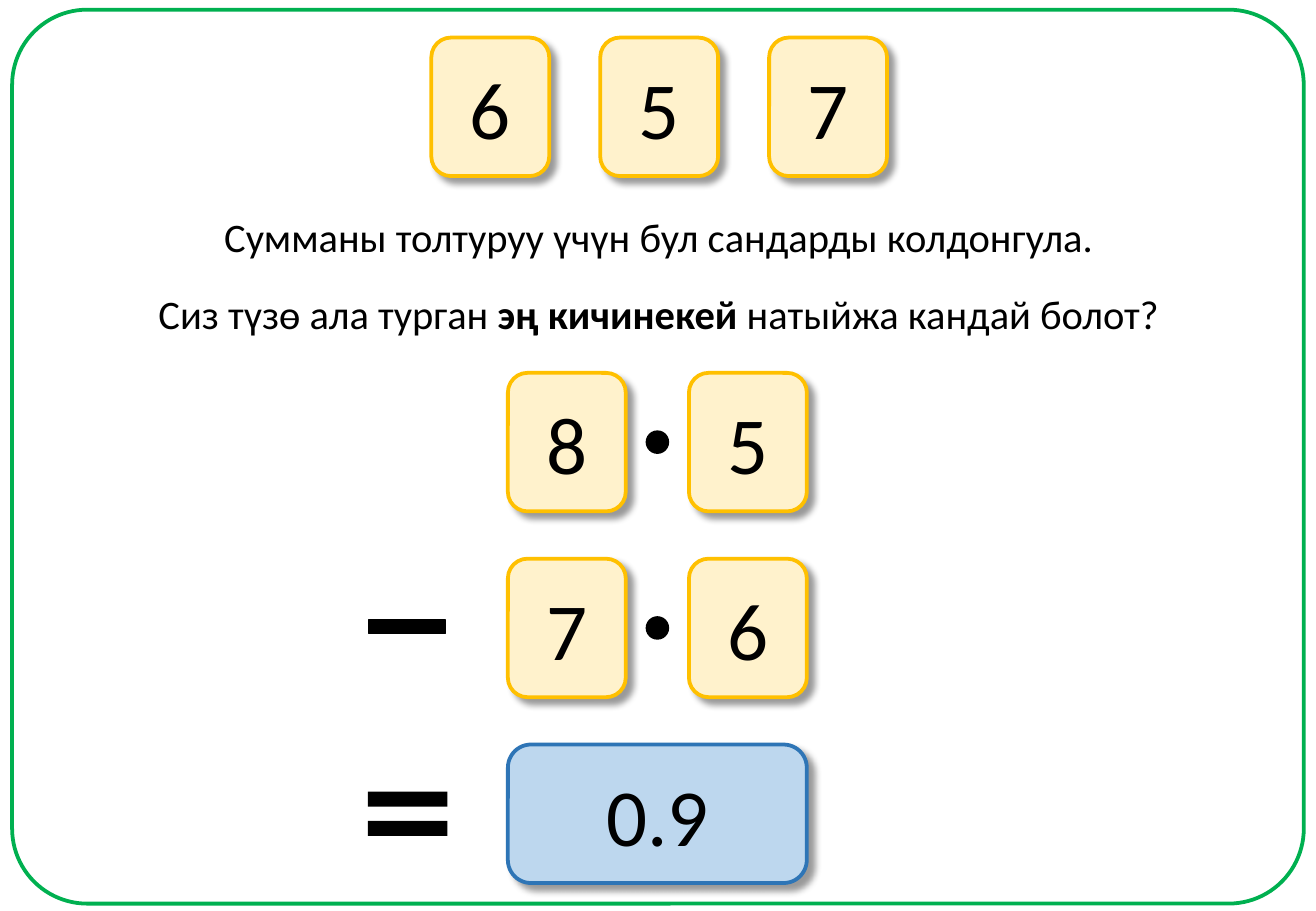
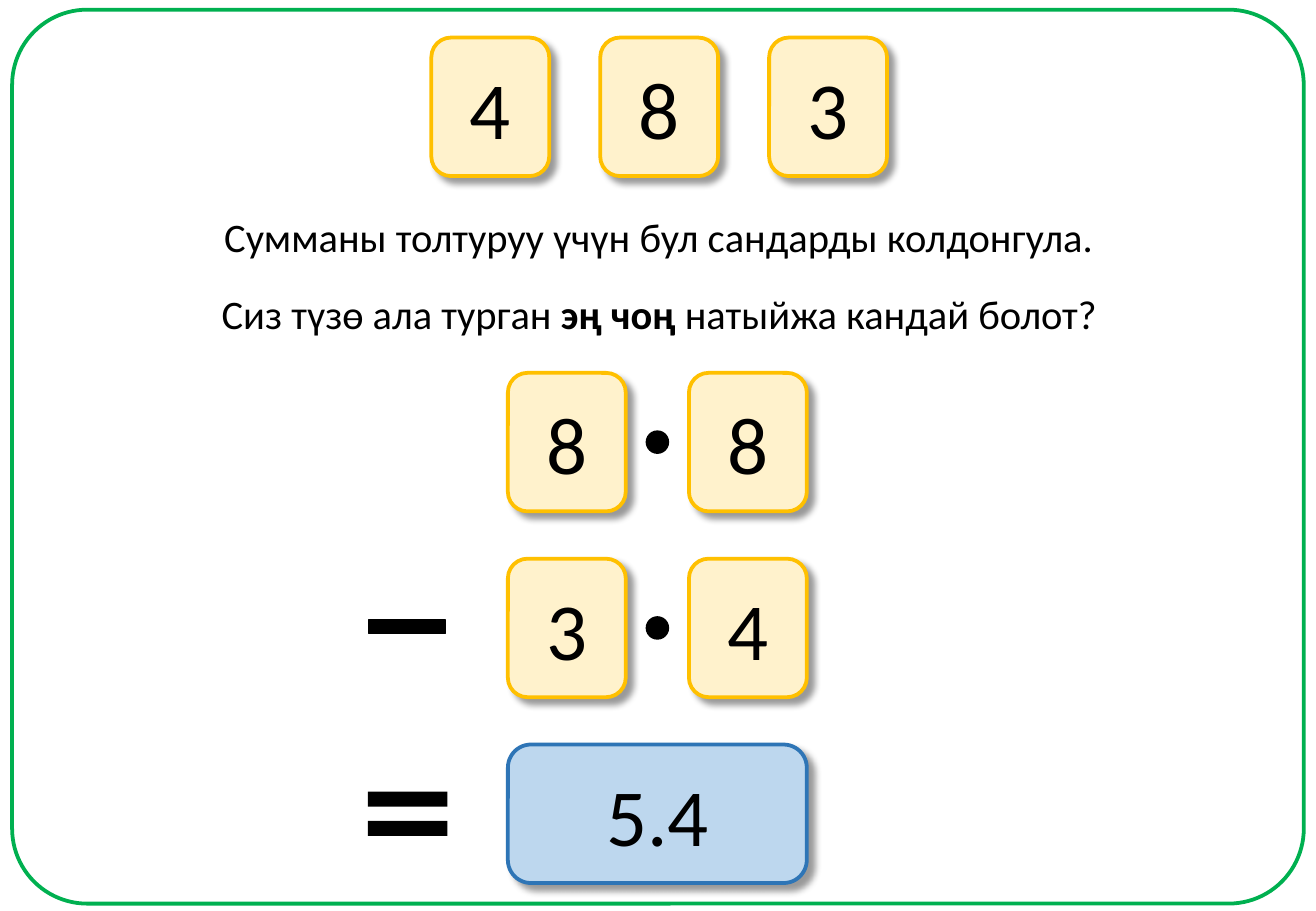
from lxml import etree
from pptx import Presentation
from pptx.dml.color import RGBColor
from pptx.enum.shapes import MSO_SHAPE
from pptx.enum.text import MSO_ANCHOR, MSO_AUTO_SIZE, PP_ALIGN
from pptx.oxml.ns import qn
from pptx.util import Pt

# Lengths are px, 100 to the inch
PX = 9144
SLIDE_WIDTH, SLIDE_HEIGHT = 1083, 750
CARD_WIDTH, CARD_HEIGHT = 97, 114
ROW_STEP = 153
FONT = "Calibri"

BLACK = RGBColor(0x00, 0x00, 0x00)
GREEN = RGBColor(0x00, 0xB0, 0x50)
CREAM = RGBColor(0xFF, 0xF2, 0xCC)
GOLD = RGBColor(0xFF, 0xC0, 0x00)
PALE_BLUE = RGBColor(0xBD, 0xD7, 0xEE)
BLUE = RGBColor(0x2E, 0x75, 0xB6)

ROUNDED = MSO_SHAPE.ROUNDED_RECTANGLE
OVAL = MSO_SHAPE.OVAL
MINUS = MSO_SHAPE.MATH_MINUS
EQUAL = MSO_SHAPE.MATH_EQUAL
CENTER = PP_ALIGN.CENTER
MIDDLE = MSO_ANCHOR.MIDDLE
FIT_SHAPE = MSO_AUTO_SIZE.SHAPE_TO_FIT_TEXT

INSTRUCTION = "Cумманы толтуруу үчүн бул сандарды колдонгула."
# Number cards, bold words, question width, factor rows, result
PUZZLES = [
    ("657", "эң кичинекей ", 846, ("85", "76"), "0.9"),
    ("483", "эң чоң ", 745, ("88", "34"), "5.4"),
]


def add_shape(slide, kind, box, fill=None, line=None, weight=1.0, adjustments=()):
    shape = slide.shapes.add_shape(kind, *(length * PX for length in box))
    shape.shadow.inherit = False
    for index, value in enumerate(adjustments):
        shape.adjustments[index] = value
    if fill is None:
        shape.fill.background()
    else:
        shape.fill.solid()
        shape.fill.fore_color.rgb = fill
    if line is None:
        shape.line.fill.background()
    else:
        shape.line.color.rgb = line
        shape.line.width = Pt(weight)
    return shape


def add_run(paragraph, text, size, bold=False):
    run = paragraph.add_run()
    run.text = text
    run.font.name = FONT
    run.font.size = Pt(size)
    run.font.bold = bold
    run.font.color.rgb = BLACK


def add_drop_shadow(shape):
    effects = shape._element.spPr.find(qn("a:effectLst"))
    shadow = etree.SubElement(
        effects, qn("a:outerShdw"), blurRad=str(Pt(4)), dist=str(Pt(5)),
        dir="2700000", algn="tl", rotWithShape="0")
    color = etree.SubElement(shadow, qn("a:srgbClr"), val=str(BLACK))
    etree.SubElement(color, qn("a:alpha"), val="40000")


def add_card(slide, left, top, text, width=CARD_WIDTH, fill=CREAM, line=GOLD):
    card = add_shape(slide, ROUNDED, (left, top, width, CARD_HEIGHT), fill, line, 2.25)
    add_drop_shadow(card)
    card.text_frame.vertical_anchor = MIDDLE
    paragraph = card.text_frame.paragraphs[0]
    paragraph.alignment = CENTER
    add_run(paragraph, text, 48)


def add_centered_line(slide, top, width, runs):
    left = (SLIDE_WIDTH + 2 - width) // 2
    box = slide.shapes.add_textbox(left * PX, top * PX, width * PX, 50 * PX)
    box.text_frame.word_wrap = False
    box.text_frame.auto_size = FIT_SHAPE
    paragraph = box.text_frame.paragraphs[0]
    paragraph.alignment = CENTER
    for text, bold in runs:
        add_run(paragraph, text, 24, bold)


def add_number_cards(slide, left, top, digits):
    for index, digit in enumerate(digits):
        add_card(slide, left + index * 139, top, digit)


def add_product(slide, left, top, factors):
    for index, factor in enumerate(factors):
        add_card(slide, left + index * 149, top, factor)
    add_shape(slide, OVAL, (left + 114, top + 48, 18, 18), BLACK, BLACK)


def add_calculation(slide, left, top, products, result):
    for row, factors in enumerate(products):
        add_product(slide, left, top + row * ROW_STEP, factors)
    minus_top = top + ROW_STEP
    result_top = top + 2 * ROW_STEP
    add_card(slide, left, result_top, result, 246, PALE_BLUE, BLUE)
    # Operator signs to the left of the cards
    add_shape(slide, EQUAL, (left - 127, result_top + 7, 89, 100), BLACK,
              adjustments=(0.123, 0.118))
    add_shape(slide, MINUS, (left - 126, minus_top + 13, 86, 86), BLACK, BLACK,
              adjustments=(0.132,))


def add_puzzle_slide(presentation, digits, goal, question_width, products, result):
    slide = presentation.slides.add_slide(presentation.slide_layouts[6])
    # Frame
    add_shape(slide, ROUNDED, (10, 8, 1063, 736), line=GREEN, weight=2.25,
              adjustments=(0.084,))
    # Task
    add_centered_line(slide, 170, 742, [(INSTRUCTION, False)])
    add_centered_line(slide, 233, question_width, [
        ("Сиз түзө ала турган ", False),
        (goal, True),
        ("натыйжа кандай болот?", False),
    ])
    # Cards
    add_number_cards(slide, 355, 31, digits)
    add_calculation(slide, 418, 307, products, result)


def main():
    presentation = Presentation()
    presentation.slide_width = SLIDE_WIDTH * PX
    presentation.slide_height = SLIDE_HEIGHT * PX
    for puzzle in PUZZLES:
        add_puzzle_slide(presentation, *puzzle)
    presentation.save("out.pptx")


if __name__ == "__main__":
    main()
